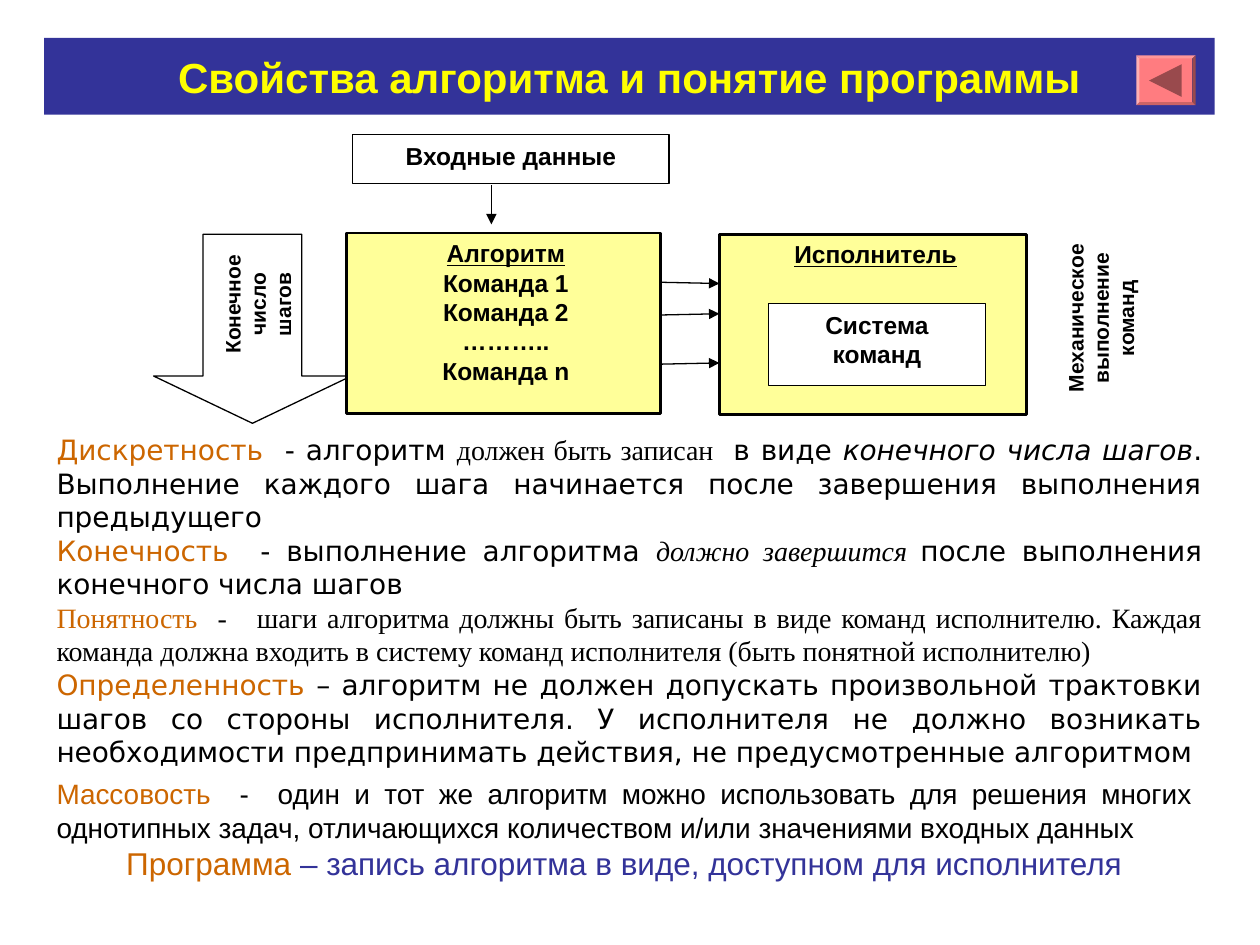
"""Build the slide on the properties of an algorithm and the notion of a program."""
from collections import namedtuple
from lxml.etree import SubElement
from pptx import Presentation
from pptx.dml.color import RGBColor
from pptx.enum.shapes import MSO_CONNECTOR as Link, MSO_SHAPE as Preset
from pptx.enum.text import MSO_ANCHOR as Anchor, PP_ALIGN as Align
from pptx.oxml.ns import qn
from pptx.util import Pt

THEME = {
    "navy": "333399", "yellow": "FFFF00", "cream": "FFFF99", "white": "FFFFFF",
    "black": "000000", "term": "CC6600", "button": "FF7C80", "mark": "994A4D",
    "title": 24, "program": 18, "body": 16, "box": 14, "side": 12,
}
SANS, WIDE, SERIF = "Arial", "DejaVu Sans", "Times New Roman"

Span = namedtuple("Span", "text font color size bold italic underline",
                  defaults=(SANS, "black", "body", False, False, False))
Panel = namedtuple("Panel", "frame lines fill line size color insets anchor turn heading",
                   defaults=(None, 0, "box", "black", (7.2, 3.6, 7.2, 3.6), Anchor.TOP, 0, False))
SNUG = (2.9, 2.9, 0, 2.9)

PANELS = [
    Panel((25.2, 21.6, 668.9, 43.9), ["Свойства алгоритма и понятие программы"],
          "navy", 0, "title", "yellow", (0, 0, 0, 0), Anchor.MIDDLE),
    Panel((104.4, 151.2, 80.6, 45.4), ["Конечное число шагов"], size="side", turn=270),
    Panel((201.6, 77, 180.7, 28.1), ["Входные данные"], line=0.75),
    Panel((198, 133.2, 179.3, 103), ["Алгоритм", "Команда 1", "Команда 2", "………..", "Команда n"],
          "cream", 1.5, insets=SNUG, heading=True),
    Panel((411.1, 133.9, 175.7, 103), ["Исполнитель"], "cream", 1.5, insets=SNUG, heading=True),
    Panel((439.2, 173.5, 123.8, 46.8), ["Система", "команд"], "white", 0.75),
    Panel((577.4, 154.1, 108, 55.4), ["Механическое выполнение команд"], size="side", turn=270),
]
STEPS_ARROW = (87.8, 133.9, 113, 108)
ARROWS = [
    (377.3, 161.3, 411.1, 162),
    (377.3, 180, 411.1, 179.3),
    (377.3, 208.1, 411.1, 207.4),
    (280.8, 105.8, 280.8, 128.2),
]
BUTTON = (649.4, 31.7, 33.8, 28.4)
BUTTON_MARK = (656.6, 36.7, 18.7, 18.7)

PROPERTIES = [
    (Align.JUSTIFY, [
        Span("Дискретность", WIDE, "term"),
        Span("  - алгоритм ", WIDE),
        Span("должен быть записан ", SERIF),
        Span(" в виде ", WIDE),
        Span("конечного числа шагов", WIDE, italic=True),
        Span(". Выполнение каждого шага начинается после завершения выполнения предыдущего", WIDE)]),
    (Align.JUSTIFY, [
        Span("Конечность ", WIDE, "term"),
        Span(" - выполнение алгоритма ", WIDE),
        Span("должно завершится", SERIF, italic=True),
        Span(" ", SERIF, size="box"),
        Span("после выполнения конечного числа шагов", WIDE)]),
    (Align.JUSTIFY, [
        Span("Понятность  ", SERIF, "term"),
        Span("-   шаги алгоритма должны быть записаны в виде команд исполнителю. Каждая команда "
             "должна входить в систему команд исполнителя (быть понятной исполнителю)", SERIF)]),
    (Align.JUSTIFY, [
        Span("Определенность ", WIDE, "term"),
        Span("– алгоритм не должен допускать произвольной трактовки шагов со стороны исполнителя. "
             "У исполнителя не должно возникать необходимости предпринимать действия, "
             "не предусмотренные алгоритмом ", WIDE)]),
]
SUMMARY = [
    (Align.JUSTIFY, [
        Span("Массовость ", color="term"),
        Span(" -  один и тот же алгоритм можно использовать для решения многих однотипных задач, "
             "отличающихся количеством и/или значениями входных данных ")]),
    (Align.CENTER, [
        Span("Программа ", color="term", size="program"),
        Span("– запись алгоритма в виде, доступном для исполнителя", color="navy", size="program")]),
]
TEXTS = [((25.2, 243.4, 668.9, 199.4), PROPERTIES), ((25.2, 439.9, 663.1, 67.7), SUMMARY)]


def points(values):
    return [Pt(value) for value in values]


def rgb(name):
    return RGBColor.from_string(THEME[name])


def add_preset(page, preset, frame, fill=None, line=0):
    shape = page.shapes.add_shape(preset, *points(frame))
    shape.shadow.inherit = False
    if fill:
        shape.fill.solid()
        shape.fill.fore_color.rgb = rgb(fill)
    else:
        shape.fill.background()
    if line:
        shape.line.color.rgb = rgb("black")
        shape.line.width = Pt(line)
    else:
        shape.line.fill.background()
    return shape


def write(shape, paragraphs, insets, anchor):
    frame = shape.text_frame
    frame.word_wrap = True
    frame.vertical_anchor = anchor
    (frame.margin_left, frame.margin_top,
     frame.margin_right, frame.margin_bottom) = points(insets)
    for index, (align, spans) in enumerate(paragraphs):
        para = frame.add_paragraph() if index else frame.paragraphs[0]
        para.alignment = align
        for span in spans:
            run = para.add_run()
            run.text = span.text
            font = run.font
            font.name, font.size = span.font, Pt(THEME[span.size])
            font.bold, font.italic, font.underline = span.bold, span.italic, span.underline
            font.color.rgb = rgb(span.color)


def add_panel(page, panel):
    if panel.fill or panel.line:
        shape = add_preset(page, Preset.RECTANGLE, panel.frame, panel.fill, panel.line)
    else:
        shape = page.shapes.add_textbox(*points(panel.frame))
    shape.rotation = panel.turn
    paragraphs = [
        (Align.CENTER, [Span(line, SANS, panel.color, panel.size, True,
                             underline=panel.heading and index == 0)])
        for index, line in enumerate(panel.lines)]
    write(shape, paragraphs, panel.insets, panel.anchor)


def add_arrow(page, ends):
    arrow = page.shapes.add_connector(Link.STRAIGHT, *points(ends))
    arrow.line.color.rgb = rgb("black")
    arrow.line.width = Pt(0.75)
    SubElement(arrow.line._get_or_add_ln(), qn("a:tailEnd"), type="triangle")
    SubElement(arrow._element.spPr, qn("a:effectLst"))


def add_button(page):
    button = add_preset(page, Preset.BEVEL, BUTTON, "button")
    button.adjustments[0] = 0.06
    mark = add_preset(page, Preset.ISOSCELES_TRIANGLE, BUTTON_MARK, "mark")
    mark.rotation = 270


def main():
    deck = Presentation()
    deck.slide_width, deck.slide_height = Pt(720), Pt(540)
    page = deck.slides.add_slide(deck.slide_layouts[6])
    add_preset(page, Preset.DOWN_ARROW, STEPS_ARROW, line=0.75).adjustments[1] = 0.25
    for panel in PANELS:
        add_panel(page, panel)
    for ends in ARROWS:
        add_arrow(page, ends)
    for frame, paragraphs in TEXTS:
        box = page.shapes.add_textbox(*points(frame))
        write(box, paragraphs, (7.2, 3.6, 7.2, 3.6), Anchor.MIDDLE)
    add_button(page)
    deck.save("out.pptx")


if __name__ == "__main__":
    main()
